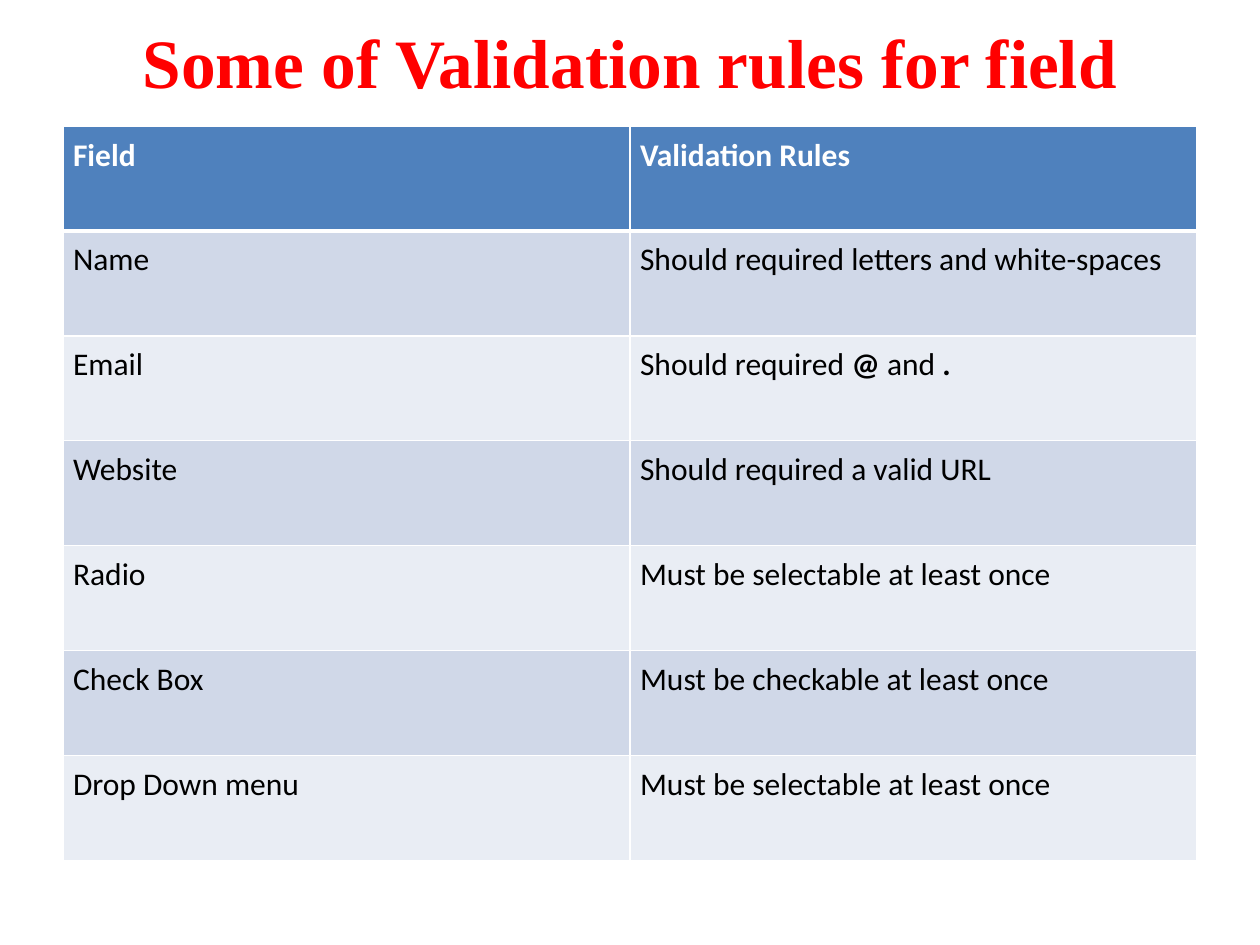
from lxml.etree import SubElement
from pptx import Presentation
from pptx.dml.color import RGBColor
from pptx.enum.text import MSO_ANCHOR as Anchor, MSO_AUTO_SIZE as AutoSize, PP_ALIGN as Align
from pptx.oxml.ns import qn
from pptx.util import Inches, Pt

COLORS = {
    "title": "FF0000",
    "header": "4F81BD",
    "header_text": "FFFFFF",
    "odd_row": "D0D8E8",
    "even_row": "E9EDF4",
    "text": "000000",
    "border": "FFFFFF",
}

# Each cell is a list of (text, bold) spans
ROWS = [
    ([("Field", True)], [("Validation Rules", True)]),
    ([("Name", False)], [("Should required letters and white-spaces", False)]),
    ([("Email", False)],
     [("Should required ", False), ("@", True), (" and ", False), (".", True)]),
    ([("Website", False)], [("Should required a valid URL", False)]),
    ([("Radio", False)], [("Must be selectable at least once", False)]),
    ([("Check Box", False)], [("Must be checkable at least once", False)]),
    ([("Drop Down menu", False)], [("Must be selectable at least once", False)]),
]


def add_span(para, text, color, **formats):
    span = para.add_run()
    span.text = text
    for name, value in formats.items():
        setattr(span.font, name, value)
    span.font.color.rgb = RGBColor.from_string(COLORS[color])


def set_title(page, text):
    title = page.shapes.title
    title.left, title.top = Inches(0.5), Inches(0.3)
    title.width, title.height = Inches(9), Inches(0.37)
    frame = title.text_frame
    frame.auto_size = AutoSize.NONE
    frame.vertical_anchor = Anchor.MIDDLE
    para = frame.paragraphs[0]
    para.alignment = Align.CENTER
    add_span(para, text, "title", name="Times New Roman", size=Pt(39.6), bold=True)


def set_borders(cell, widths):
    properties = cell._tc.get_or_add_tcPr()
    for side, width in widths.items():
        line = SubElement(properties, qn(f"a:ln{side}"), w=str(Pt(width)))
        fill = SubElement(line, qn("a:solidFill"))
        SubElement(fill, qn("a:srgbClr"), val=COLORS["border"])


def fill_cell(cell, spans, row):
    # The rule between header and body is thicker
    set_borders(cell, {"L": 1, "R": 1, "T": 3 if row == 1 else 1, "B": 3 if row == 0 else 1})
    fill = "header" if row == 0 else "odd_row" if row % 2 else "even_row"
    cell.fill.solid()
    cell.fill.fore_color.rgb = RGBColor.from_string(COLORS[fill])
    for side in ("left", "right", "top", "bottom"):
        setattr(cell, f"margin_{side}", Inches(0.08))
    color = "header_text" if row == 0 else "text"
    for text, bold in spans:
        add_span(cell.text_frame.paragraphs[0], text, color,
                 name="Calibri", size=Pt(18), bold=bold)


def add_rules_table(page, rows):
    table = page.shapes.add_table(len(rows), len(rows[0]), Inches(0.5), Inches(1),
                                  Inches(9), Inches(5.83)).table
    for row, cells in enumerate(rows):
        for column, spans in enumerate(cells):
            fill_cell(table.cell(row, column), spans, row)


def main():
    deck = Presentation()
    deck.slide_width, deck.slide_height = Inches(10), Inches(7.5)
    page = deck.slides.add_slide(deck.slide_layouts[5])
    set_title(page, "Some of Validation rules for field")
    add_rules_table(page, ROWS)
    deck.save("out.pptx")


if __name__ == "__main__":
    main()
